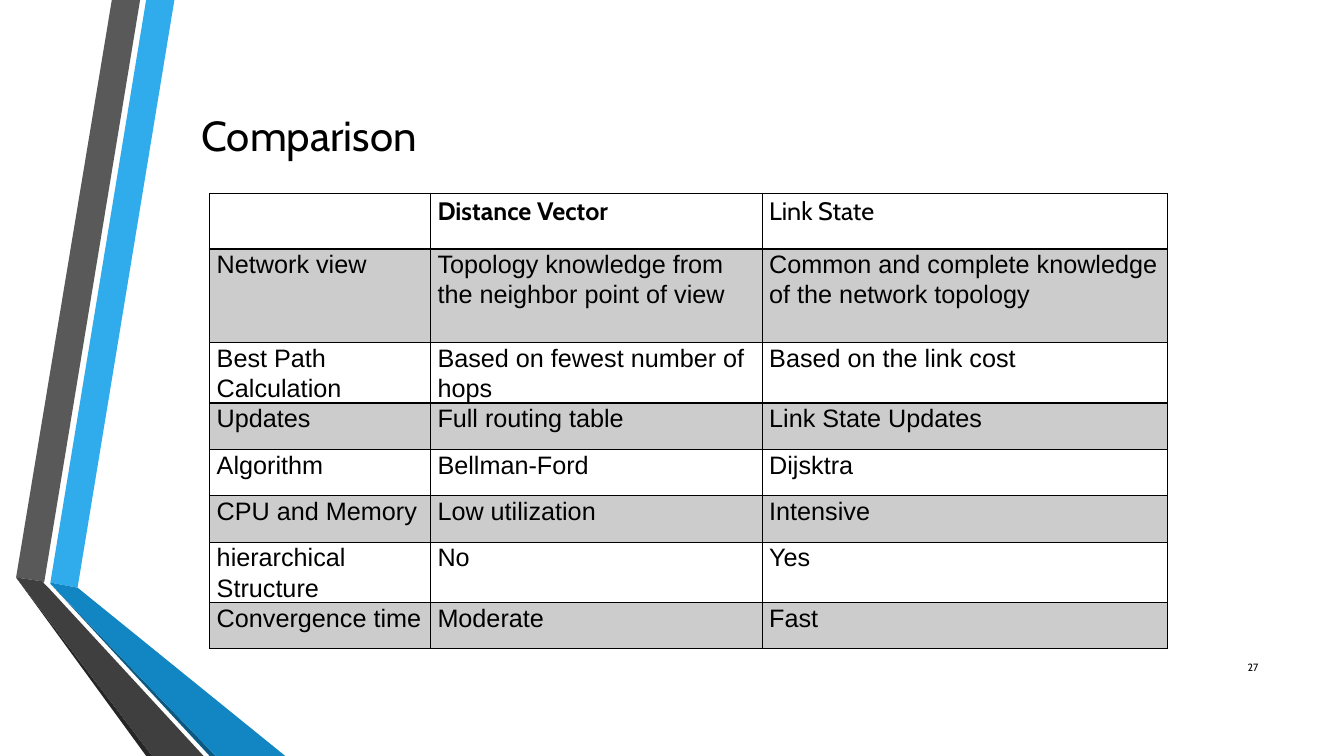
from lxml.etree import SubElement
from pptx import Presentation
from pptx.dml.color import RGBColor
from pptx.enum.text import MSO_ANCHOR, PP_ALIGN
from pptx.oxml.ns import qn
from pptx.util import Inches, Pt

UNIT = Inches(0.01)
PAGE_WIDTH, PAGE_HEIGHT = 1333, 750
COLORS = {
    "black": "000000", "band": "CCCCCC",
    "sky": "30ACEC", "blue": "1186C3", "navy": "0B5982",
    "gray": "595959", "charcoal": "3F3F3F", "shade": "262626",
}
RIBBONS = [
    ("sky", [(50, 578), (77, 583), (173, 0), (145, 0)]),
    ("gray", [(139, 0), (111, 0), (16, 573), (44, 577)]),
    ("shade", [(16, 573), (145, 750), (151, 750)]),
    ("navy", [(50, 579), (208, 750), (214, 750)]),
    ("blue", [(50, 578), (50, 579), (214, 750), (283, 750), (77, 583)]),
    ("charcoal", [(202, 750), (48, 583), (43, 578), (44, 577), (16, 573), (151, 750)]),
]
COLUMN_WIDTHS = [219, 329, 402]
ROW_HEIGHTS = [55, 93] + [46] * 6
ROWS = [
    ("", "Distance Vector", "Link State"),
    ("Network view", "Topology knowledge from the neighbor point of view",
     "Common and complete knowledge of the network topology"),
    ("Best Path Calculation", "Based on fewest number of hops", "Based on the link cost"),
    ("Updates", "Full routing table", "Link State Updates"),
    ("Algorithm", "Bellman-Ford", "Dijsktra"),
    ("CPU and Memory", "Low utilization", "Intensive"),
    ("hierarchical Structure", "No", "Yes"),
    ("Convergence time", "Moderate", "Fast"),
]


def color(name):
    return RGBColor.from_string(COLORS[name])


def grid(*cells):
    return [cell * UNIT for cell in cells]


def style(para, size, face="Cabin", bold=False, align=PP_ALIGN.LEFT):
    para.alignment = align
    para.font.size = Pt(size)
    para.font.name = face
    para.font.bold = bold
    para.font.color.rgb = color("black")


def add_ribbon(page, fill, points):
    builder = page.shapes.build_freeform(*points[0], scale=UNIT)
    builder.add_line_segments(points[1:], close=True)
    ribbon = builder.convert_to_shape()
    ribbon.shadow.inherit = False
    ribbon.fill.solid()
    ribbon.fill.fore_color.rgb = color(fill)
    ribbon.line.fill.background()


def add_title(page, text):
    title = page.shapes.title
    title.left, title.top, title.width, title.height = grid(190, 75, 1096, 117)
    title.text_frame.text = text
    title.text_frame.vertical_anchor = MSO_ANCHOR.MIDDLE
    style(title.text_frame.paragraphs[0], 30)


def set_borders(cell, bottom, top):
    properties = cell._tc.get_or_add_tcPr()
    widths = {"a:lnL": 1, "a:lnR": 1, "a:lnT": top, "a:lnB": bottom}
    for index, (tag, width) in enumerate(widths.items()):
        line = SubElement(properties, qn(tag), w=str(Pt(width)))
        fill = SubElement(line, qn("a:solidFill"))
        SubElement(fill, qn("a:srgbClr"), val=COLORS["black"])
        properties.insert(index, line)


def fill_cell(cell, text, row, column):
    header = row == 0
    cell.text = text
    cell.margin_left = cell.margin_right = Inches(0.07)
    cell.margin_top = cell.margin_bottom = 0
    para = cell.text_frame.paragraphs[0]
    para.line_spacing = 1.07
    style(para, 18, "Cabin" if header else "Arial", header and column == 1)
    if row % 2:
        cell.fill.solid()
        cell.fill.fore_color.rgb = color("band")
    else:
        cell.fill.background()
    set_borders(cell, bottom=2 if header else 1, top=2 if row == 1 else 1)


def add_comparison(page):
    place = grid(208, 192, sum(COLUMN_WIDTHS), sum(ROW_HEIGHTS))
    table = page.shapes.add_table(len(ROWS), len(COLUMN_WIDTHS), *place).table
    table.first_row = table.horz_banding = False
    for column, width in zip(table.columns, COLUMN_WIDTHS):
        column.width = width * UNIT
    for row, height in zip(table.rows, ROW_HEIGHTS):
        row.height = height * UNIT
    for row, texts in enumerate(ROWS):
        for column, text in enumerate(texts):
            fill_cell(table.cell(row, column), text, row, column)


def add_page_number(page, number):
    box = page.shapes.add_textbox(*grid(1198, 642, 60, 40))
    frame = box.text_frame
    frame.word_wrap = True
    frame.vertical_anchor = MSO_ANCHOR.MIDDLE
    frame.text = number
    style(frame.paragraphs[0], 7.5, align=PP_ALIGN.RIGHT)


def main():
    deck = Presentation()
    deck.slide_width, deck.slide_height = grid(PAGE_WIDTH, PAGE_HEIGHT)
    page = deck.slides.add_slide(deck.slide_layouts[5])
    for fill, points in RIBBONS:
        add_ribbon(page, fill, points)
    add_title(page, "Comparison")
    add_comparison(page)
    add_page_number(page, "27")
    deck.save("out.pptx")


if __name__ == "__main__":
    main()
